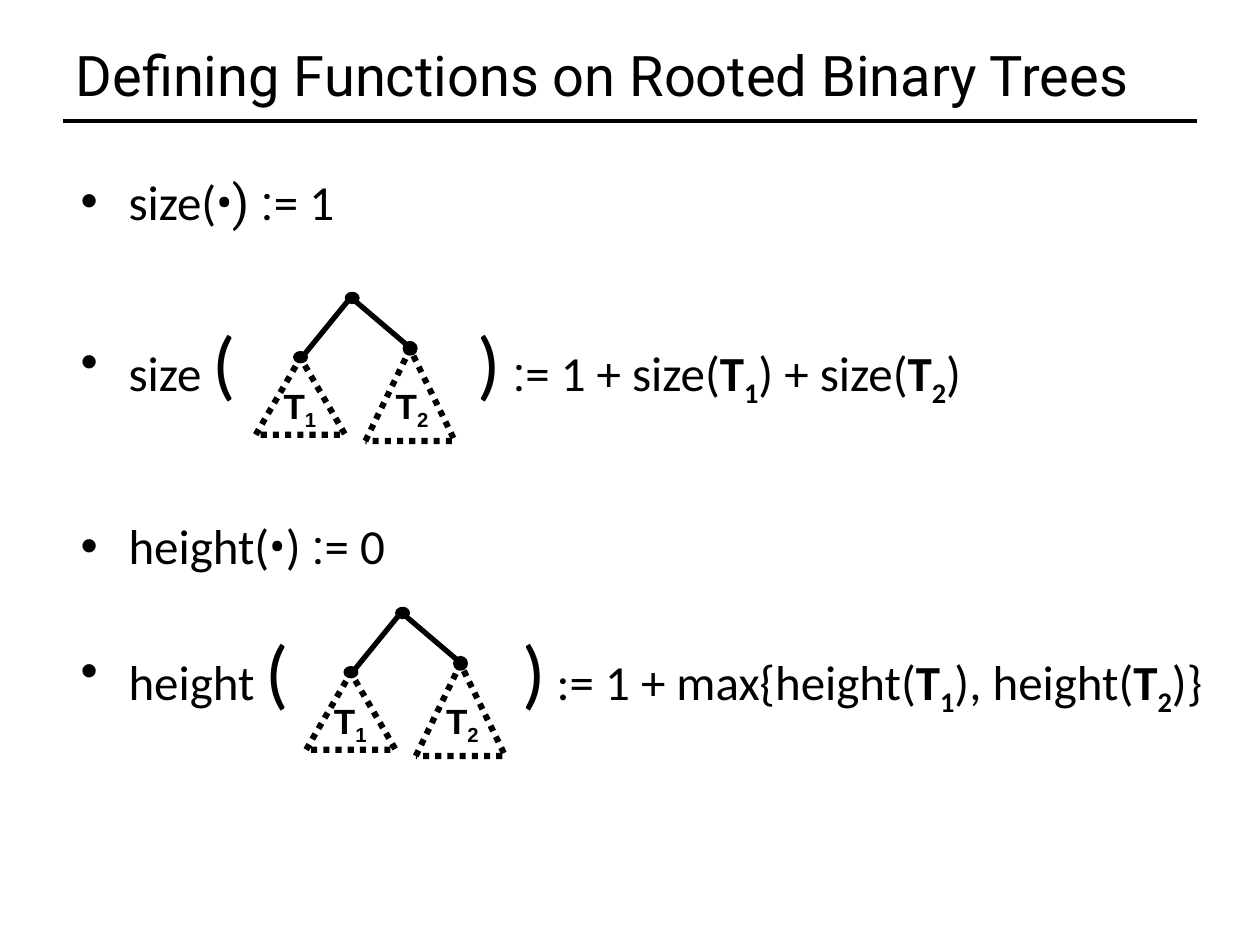
from lxml import etree
from pptx import Presentation, util as u
from pptx.dml.color import RGBColor
from pptx.enum import dml, shapes, text
from pptx.oxml.ns import qn

COLUMNS, ROWS = 100, 75
SUBSCRIPT = {"bold": True, "baseline": -25}
BOLD = {"bold": True}
ROBOTO = {"font": "Roboto"}
PARENTHESIS = {"size": 44}


def color(hex_string):
    return RGBColor.from_string(hex_string)


def add_text(paragraph, content, font="Calibri", size=28, ink="000000",
             bold=False, baseline=0, spacing=0):
    """Add one run; baseline is a percentage, spacing is in points."""
    run = paragraph.add_run()
    run.text = content
    run.font.name, run.font.size, run.font.bold = font, u.Pt(size), bold
    run.font.color.rgb = color(ink)
    properties = run.font._element
    if baseline:
        properties.set("baseline", str(baseline * 1000))
    if spacing:
        properties.set("spc", str(spacing * 100))


def subtree(number):
    return [("T", BOLD), (str(number), SUBSCRIPT)]


class SlideBuilder:
    """Places elements on a grid of 100 columns by 75 rows."""
    ink = "000000"

    def __init__(self, presentation):
        self.column = presentation.slide_width / COLUMNS
        self.row = presentation.slide_height / ROWS
        self.slide = presentation.slides.add_slide(presentation.slide_layouts[1])

    def box(self, left, top, width, height):
        return (round(left * self.column), round(top * self.row),
                round(width * self.column), round(height * self.row))

    def place(self, shape, *area):
        shape.left, shape.top, shape.width, shape.height = self.box(*area)

    def title(self, content, *area):
        shape = self.slide.shapes.title
        self.place(shape, *area)
        frame = shape.text_frame
        frame.auto_size = text.MSO_AUTO_SIZE.NONE
        frame.vertical_anchor = text.MSO_ANCHOR.TOP
        frame.margin_top = u.Inches(0.09)
        frame.paragraphs[0].alignment = text.PP_ALIGN.LEFT
        add_text(frame.paragraphs[0], content, font="Roboto", size=32)

    def bullets(self, items, *area):
        """Fill the body with (space before, runs) items."""
        shape = self.slide.placeholders[1]
        self.place(shape, *area)
        frame = shape.text_frame
        frame.auto_size = text.MSO_AUTO_SIZE.NONE
        for index, (space_before, runs) in enumerate(items):
            paragraph = frame.add_paragraph() if index else frame.paragraphs[0]
            properties = paragraph._p.get_or_add_pPr()
            properties.set("marL", str(u.Inches(0.38)))
            properties.set("indent", str(-u.Inches(0.38)))
            etree.SubElement(properties, qn("a:buFont"), typeface="Arial")
            etree.SubElement(properties, qn("a:buChar"), char="•")
            paragraph.space_before = u.Pt(space_before)
            for content, style in runs:
                add_text(paragraph, content, **style)

    def line(self, start, end, width, parent=None):
        x1, y1, x2, y2 = self.box(*start, *end)
        connector = (parent or self.slide).shapes.add_connector(
            shapes.MSO_CONNECTOR.STRAIGHT, x1, y1, x2, y2)
        connector.line.color.rgb = color(self.ink)
        connector.line.width = u.Pt(width)
        etree.SubElement(connector._element.spPr, qn("a:effectLst"))

    def outline(self, parent, kind, area, width):
        shape = parent.shapes.add_shape(kind, *self.box(*area))
        shape.shadow.inherit = False
        shape.line.color.rgb = color(self.ink)
        shape.line.width = u.Pt(width)
        return shape

    def node(self, parent, *area):
        shape = self.outline(parent, shapes.MSO_SHAPE.OVAL, area, 2)
        shape.fill.solid()
        shape.fill.fore_color.rgb = color(self.ink)

    def dotted_triangle(self, parent, *area):
        shape = self.outline(parent, shapes.MSO_SHAPE.ISOSCELES_TRIANGLE, area, 3.5)
        shape.fill.background()
        shape.line.dash_style = dml.MSO_LINE.ROUND_DOT

    def label(self, parent, runs, *area):
        frame = parent.shapes.add_textbox(*self.box(*area)).text_frame
        frame.word_wrap = False
        frame.auto_size = text.MSO_AUTO_SIZE.SHAPE_TO_FIT_TEXT
        frame.paragraphs[0].alignment = text.PP_ALIGN.CENTER
        for content, style in runs:
            add_text(frame.paragraphs[0], content, font="Arial", size=20, **style)

    def tree(self, left, top):
        """Draw a root with two dotted subtrees; left and top bound the tree."""
        group = self.slide.shapes.add_group_shape()
        self.dotted_triangle(group, left, top + 5.1, 7.1, 6.1)
        self.node(group, left + 3.1, top + 4.7, 0.9, 0.7)
        self.dotted_triangle(group, left + 8.7, top + 4.4, 7.1, 7.3)
        self.node(group, left + 11.8, top + 3.9, 0.9, 0.9)
        self.node(group, left + 7.2, top, 0.9, 0.7)
        self.line((left + 7.3, top + 0.6), (left + 3.8, top + 4.9), 3, group)
        self.line((left + 7.9, top + 0.6), (left + 11.9, top + 4), 3, group)
        for number, offset in ((1, 1.1), (2, 10)):
            self.label(group, subtree(number), left + offset, top + 6.7, 4.8, 4.4)


def tree_argument(name, gap):
    """Runs for a function name and the parentheses around a tree."""
    return [(name + " ", {}), ("(", PARENTHESIS), (" ", {"spacing": gap}),
            (")", PARENTHESIS)]


def main():
    presentation = Presentation()
    presentation.slide_width, presentation.slide_height = u.Inches(10), u.Inches(7.5)
    builder = SlideBuilder(presentation)

    builder.line((5, 9.6), (95, 9.6), 2)
    builder.title("Defining Functions on Rooted Binary Trees", 5, 2.3, 90, 8.2)
    builder.bullets([
        (0, [("size(", {}), ("•) :", ROBOTO), ("= 1", {})]),
        (48, [*tree_argument("size", 132), (" :", ROBOTO), ("= 1 + size(", {}),
              *subtree(1), (") + size(", {}), *subtree(2), (")", {})]),
        (61, [("height(", {}), ("•", ROBOTO), (")", {}), (" :", ROBOTO), ("= 0", {})]),
        (28, [*tree_argument("height", 127), (" := 1 + max{height(", {}),
              *subtree(1), ("), height(", {}), *subtree(2), (")}", {})]),
    ], 5.4, 13.1, 93.6, 52.8)
    for left, top in ((20.3, 23.3), (24.3, 48.3)):
        builder.tree(left, top)

    presentation.save("out.pptx")


if __name__ == "__main__":
    main()
